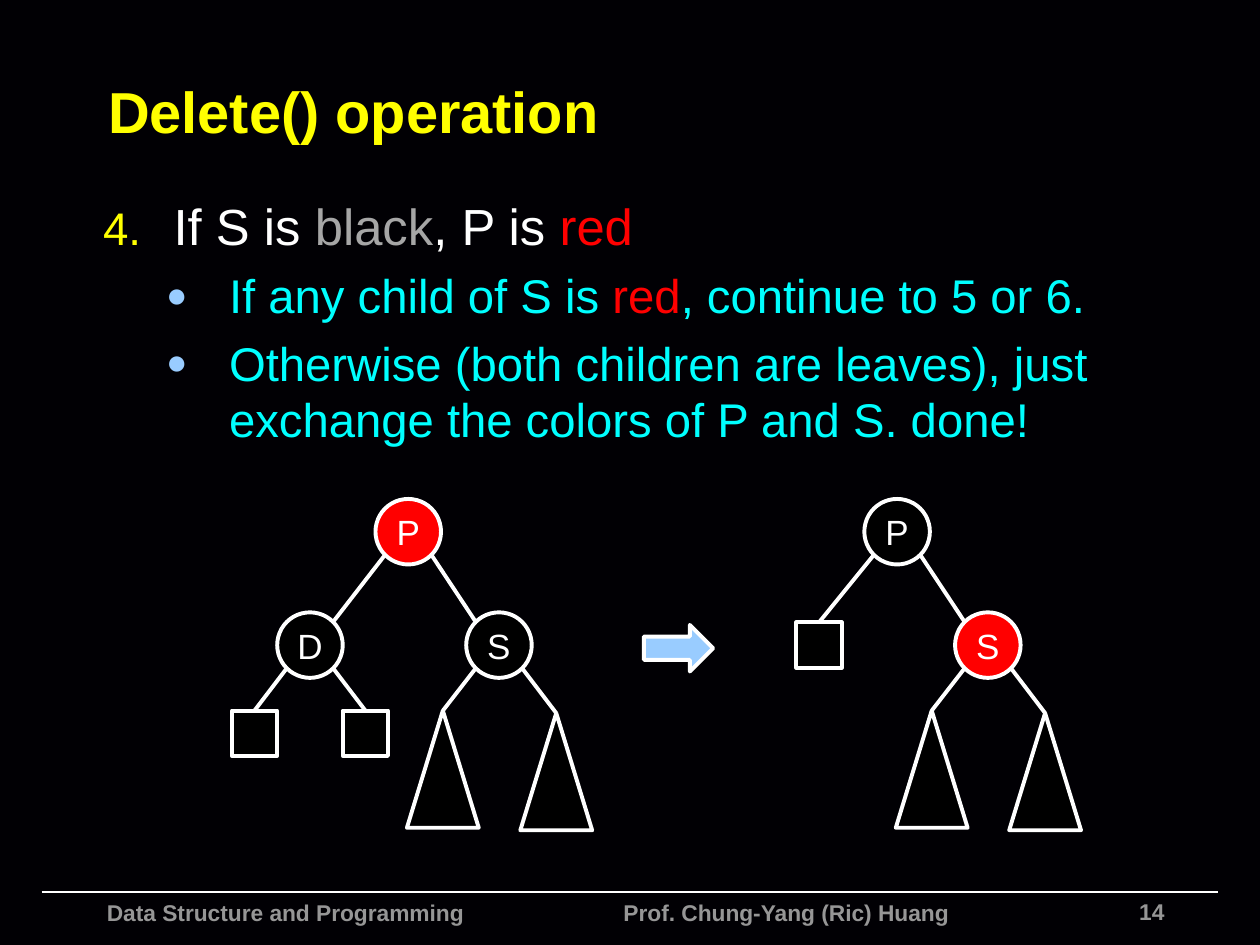
from pptx import Presentation
from pptx.dml.color import RGBColor
from pptx.enum.shapes import MSO_CONNECTOR, MSO_SHAPE
from pptx.enum.text import MSO_ANCHOR, PP_ALIGN
from pptx.oxml.ns import qn
from pptx.util import Inches, Pt
from lxml.etree import SubElement

BACKGROUND = RGBColor(0x01, 0x00, 0x04)
BLACK = RGBColor(0x00, 0x00, 0x00)
WHITE = RGBColor(0xFF, 0xFF, 0xFF)
RED = RGBColor(0xFF, 0x00, 0x00)
YELLOW = RGBColor(0xFF, 0xFF, 0x00)
CYAN = RGBColor(0x00, 0xFF, 0xFF)
LIGHT_BLUE = RGBColor(0x99, 0xCC, 0xFF)
GRAY = RGBColor(0xA6, 0xA6, 0xA6)
FOOTER_GRAY = RGBColor(0x96, 0x96, 0x96)

COLUMNS, ROWS = 100, 75
CELL = Inches(0.1)
RADIUS = 2.6
DIAGONAL = RADIUS * 0.707
LEAF = 3.6
SUBTREE_WIDTH, SUBTREE_HEIGHT = 5.7, 9.3


def cells(*values):
    """Turn grid cells into slide lengths."""
    return [round(value * CELL) for value in values]


class TreeSlide:
    """Style and drawing methods for one slide; lengths are grid cells."""

    def __init__(self, presentation):
        """Add a blank slide with a dark background."""
        self.font = "Arial"
        self.outline = Pt(2.25)
        self.slide = presentation.slides.add_slide(presentation.slide_layouts[6])
        self.slide.background.fill.solid()
        self.slide.background.fill.fore_color.rgb = BACKGROUND

    def style(self, paragraph, size, color, bold=False):
        """Set the font of a whole paragraph."""
        font = paragraph.font
        font.name, font.size, font.bold = self.font, Pt(size), bold
        font.color.rgb = color

    def frame(self, left, top, width, height):
        """Add a wrapping text box and return its text frame."""
        box = self.slide.shapes.add_textbox(*cells(left, top, width, height))
        box.text_frame.word_wrap = True
        return box.text_frame

    def label(self, place, text, size, color, align=PP_ALIGN.LEFT,
              anchor=MSO_ANCHOR.TOP, tab=None):
        """Add one bold line of text, with an optional tab stop."""
        frame = self.frame(*place)
        frame.vertical_anchor = anchor
        paragraph = frame.paragraphs[0]
        paragraph.text = text
        paragraph.alignment = align
        if tab:
            stops = SubElement(paragraph._p.get_or_add_pPr(), qn("a:tabLst"))
            SubElement(stops, qn("a:tab"), pos=str(cells(tab)[0]), algn="l")
        self.style(paragraph, size, color, bold=True)

    def item(self, paragraph, runs, level, size, color, indent, hanging, bullet):
        """Fill a list paragraph; bullet is (color, percent, tag, attributes)."""
        bullet_color, percent, tag, attributes = bullet
        paragraph.level = level
        paragraph.space_before = Pt(6)
        properties = paragraph._p.get_or_add_pPr()
        properties.set("marL", str(cells(indent)[0]))
        properties.set("indent", str(cells(-hanging)[0]))
        holder = SubElement(properties, qn("a:buClr"))
        SubElement(holder, qn("a:srgbClr"), val=str(bullet_color))
        SubElement(properties, qn("a:buSzPct"), val=str(percent * 1000))
        SubElement(properties, qn("a:buFont"), typeface=self.font)
        SubElement(properties, qn(tag), **attributes)
        self.style(paragraph, size, color)
        for text, run_color in runs:
            run = paragraph.add_run()
            run.text = text
            run.font.color.rgb = run_color

    def shape(self, kind, left, top, width, height, fill):
        """Add an outlined preset shape."""
        shape = self.slide.shapes.add_shape(kind, *cells(left, top, width, height))
        shape.shadow.inherit = False
        shape.fill.solid()
        shape.fill.fore_color.rgb = fill
        shape.line.color.rgb = WHITE
        shape.line.width = self.outline
        return shape

    def node(self, center, name, fill):
        """Add a named tree node around its center."""
        x, y = center
        shape = self.shape(MSO_SHAPE.OVAL, x - RADIUS, y - RADIUS,
                           2 * RADIUS, 2 * RADIUS, fill)
        frame = shape.text_frame
        frame.margin_left = frame.margin_right = Inches(0.05)
        frame.vertical_anchor = MSO_ANCHOR.MIDDLE
        paragraph = frame.paragraphs[0]
        paragraph.text = name
        paragraph.alignment = PP_ALIGN.CENTER
        self.style(paragraph, 20, WHITE)

    def line(self, start, end, width):
        """Add a straight white line."""
        connector = self.slide.shapes.add_connector(
            MSO_CONNECTOR.STRAIGHT, *cells(*start, *end))
        connector.line.color.rgb = WHITE
        connector.line.width = width
        SubElement(connector._element.spPr, qn("a:effectLst"))

    def edge(self, parent, end, side):
        """Join a node's lower side (-1 left, 1 right) to a point."""
        start = parent[0] + side * DIAGONAL, parent[1] + DIAGONAL
        self.line(start, end, self.outline)

    def node_edge(self, parent, child, side):
        """Join a node to the facing side of a child node."""
        end = child[0] - side * DIAGONAL, child[1] - DIAGONAL
        self.edge(parent, end, side)

    def leaf(self, parent, top, side):
        """Add a square leaf hanging from its top middle."""
        self.shape(MSO_SHAPE.RECTANGLE, top[0] - LEAF / 2, top[1], LEAF, LEAF, BLACK)
        self.edge(parent, top, side)

    def subtree(self, parent, top, side):
        """Add a triangular subtree hanging from its tip."""
        self.shape(MSO_SHAPE.ISOSCELES_TRIANGLE, top[0] - SUBTREE_WIDTH / 2, top[1],
                   SUBTREE_WIDTH, SUBTREE_HEIGHT, BLACK)
        self.edge(parent, top, side)

    def family(self, x, parent_fill, sibling_fill):
        """Draw P with its child S and S's subtrees; return P's center."""
        parent, sibling = (x, 42.2), (x + 7.2, 51.2)
        self.node(sibling, "S", sibling_fill)
        self.subtree(sibling, (x + 2.75, 56.4), -1)
        self.subtree(sibling, (x + 11.75, 56.6), 1)
        self.node(parent, "P", parent_fill)
        self.node_edge(parent, sibling, 1)
        return parent


def main():
    """Build and save the slide."""
    presentation = Presentation()
    presentation.slide_width, presentation.slide_height = cells(COLUMNS, ROWS)
    page = TreeSlide(presentation)

    page.line((3.3, 70.8), (96.7, 70.8), Pt(1))
    page.label((61.7, 70.8, 31.7, 3), "14", 13, FOOTER_GRAY, align=PP_ALIGN.RIGHT)
    page.label((7.5, 70.8, 72.4, 4.2),
               "Data Structure and Programming\tProf. Chung-Yang (Ric) Huang",
               13, FOOTER_GRAY, tab=41)
    page.label((7.6, 3.7, 88.4, 10.1), "Delete() operation", 33, YELLOW,
               anchor=MSO_ANCHOR.MIDDLE)

    number = (YELLOW, 90, "a:buAutoNum", {"type": "arabicPeriod", "startAt": "4"})
    dot = (LIGHT_BLUE, 75, "a:buChar", {"char": "●"})
    main_style = (0, 29, WHITE, 5.6, 5.6, number)
    sub_style = (1, 27, CYAN, 10, 5, dot)
    items = [
        ([("If S is ", WHITE), ("black", GRAY), (", P is ", WHITE), ("red", RED)],
         main_style),
        ([("If any child of S is ", CYAN), ("red", RED),
          (", continue to 5 or 6.", CYAN)], sub_style),
        ([("Otherwise (both children are leaves), just exchange the colors "
           "of P and S. done!", CYAN)], sub_style),
    ]
    body = page.frame(7.2, 15, 85, 51.7)
    for index, (runs, style) in enumerate(items):
        paragraph = body.add_paragraph() if index else body.paragraphs[0]
        page.item(paragraph, runs, *style)

    before = page.family(32.4, RED, BLACK)
    deleted = (24.6, 51.2)
    page.node(deleted, "D", BLACK)
    page.node_edge(before, deleted, -1)
    for side in (-1, 1):
        page.leaf(deleted, (deleted[0] + side * 4.4, 56.4), side)

    page.shape(MSO_SHAPE.RIGHT_ARROW, 51.1, 49.6, 5.5, 3.7, LIGHT_BLUE)

    after = page.family(71.2, BLACK, RED)
    page.leaf(after, (65, 49.4), -1)

    presentation.save("out.pptx")


main()
